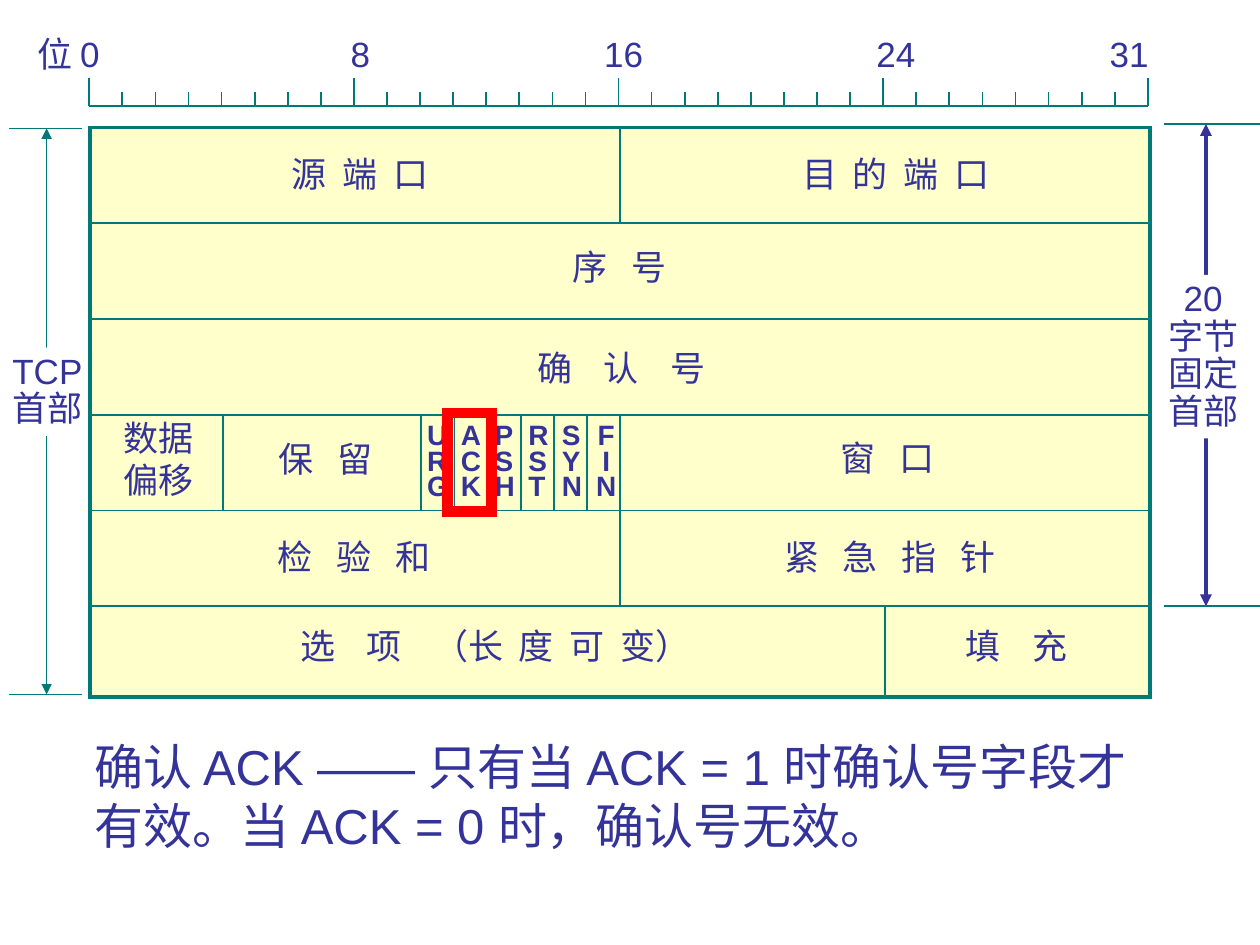
import itertools

import pptx
import pptx.dml.color
import pptx.enum.shapes
import pptx.enum.text
import pptx.oxml
import pptx.oxml.ns
import pptx.util

Cm = pptx.util.Cm
Pt = pptx.util.Pt
COLORS = {"teal": "007A77", "navy": "333399", "cream": "FFFFCC", "white": "FFFFFF", "red": "FF0000"}
ALIGN = pptx.enum.text.PP_ALIGN
SPACE_WIDTH = 4.5
BITS = 32
ROW_HEIGHT = 1.93
FLAGS = ["URG", "ACK", "PSH", "RST", "SYN", "FIN"]
FIRST_FLAG_BIT = 10
FLAG_STEP = 0.68

FIELDS = [
    ("源 端 口", 3.81, 0.38, 3.8, (2,)),
    ("目 的 端 口", 14.1, 0.38, 4.9, (2,)),
    ("序 号", 9.47, 2.26, 3.84, (3,)),
    ("确 认 号", 8.76, 4.29, 5.11, (4,)),
    ("数据\n偏移", 0.43, 5.71, 2.2, None),
    ("保 留", 3.55, 6.12, 2.9, (3,)),
    ("窗 口", 14.88, 6.1, 2.9, (3,)),
    ("检 验 和", 3.53, 8.1, 4.1, (3,)),
    ("紧 急 指 针", 13.74, 8.1, 5.5, (3,)),
    ("选 项 （长 度 可 变）", 3.98, 9.9, 8.89, (4, 4, 2, 2, 2)),
    ("填 充", 17.4, 9.9, 3.48, (4,)),
]


def rgb(name):
    return pptx.dml.color.RGBColor.from_string(COLORS[name])


def add_element(parent, tag, **attributes):
    element = pptx.oxml.parse_xml(f"<a:{tag} {pptx.oxml.ns.nsdecls('a')}/>")
    for key, value in attributes.items():
        element.set(key, str(value))
    parent.append(element)
    return element


def add_line(slide, x1, y1, x2, y2, color="teal", width=1, arrows=False):
    line = slide.shapes.add_connector(
        pptx.enum.shapes.MSO_CONNECTOR.STRAIGHT, Cm(x1), Cm(y1), Cm(x2), Cm(y2))
    line.line.color.rgb = rgb(color)
    line.line.width = Pt(width)
    if arrows:
        outline = line.line._get_or_add_ln()
        add_element(outline, "headEnd", type="triangle")
        add_element(outline, "tailEnd", type="triangle")
    add_element(line._element.spPr, "effectLst")
    return line


def add_box(slide, x, y, w, h, fill=None, line="teal", width=1):
    box = slide.shapes.add_shape(
        pptx.enum.shapes.MSO_SHAPE.RECTANGLE, Cm(x), Cm(y), Cm(w), Cm(h))
    box.shadow.inherit = False
    if fill:
        box.fill.solid()
        box.fill.fore_color.rgb = rgb(fill)
    else:
        box.fill.background()
    box.line.color.rgb = rgb(line)
    box.line.width = Pt(width)
    add_element(box.line._get_or_add_ln(), "miter", lim=800000)
    return box


def add_text(slide, text, x, y, w, h=1.09, size=20, bold=False, align=ALIGN.LEFT,
             line_spacing=None, gaps=None, wrap=False, fill=None, tabs=()):
    label = slide.shapes.add_textbox(Cm(x), Cm(y), Cm(w), Cm(h))
    if fill:
        label.fill.solid()
        label.fill.fore_color.rgb = rgb(fill)
    frame = label.text_frame
    frame.word_wrap = wrap
    frame.auto_size = pptx.enum.text.MSO_AUTO_SIZE.SHAPE_TO_FIT_TEXT
    for index, content in enumerate(text.split("\n")):
        paragraph = frame.add_paragraph() if index else frame.paragraphs[0]
        paragraph.alignment = align
        if line_spacing:
            paragraph.line_spacing = line_spacing
        if tabs:
            stops = add_element(paragraph._p.get_or_add_pPr(), "tabLst")
            for stop in tabs:
                add_element(stops, "tab", pos=Cm(stop), algn="l")
        pieces = content.replace(" ", "\n \n").split("\n") if gaps else [content]
        widths = itertools.cycle(gaps or (1,))
        for piece in pieces:
            run = paragraph.add_run()
            run.text = piece
            run.font.name = "Arial"
            run.font.size = Pt(size)
            run.font.bold = bold
            run.font.color.rgb = rgb("navy")
            if piece == " ":
                extra = (next(widths) - 1) * SPACE_WIDTH
                run._r.get_or_add_rPr().set("spc", str(int(extra * 100)))
    return label


def draw_ruler(slide, x, y, w, h):
    add_text(slide, "位 0\t8\t16\t24\t31", x - 1.3, y - 1.04, 22.96,
             tabs=(6.32, 11.43, 16.92, 21.62))
    add_line(slide, x, y + h, x + w, y + h)
    for bit in range(BITS + 1):
        tick_x = x + bit * w / BITS
        add_line(slide, tick_x, y if bit % 8 == 0 else y + h / 2, tick_x, y + h)


def draw_header(slide, x, y, w, h):
    header = add_box(slide, x, y, w, h, fill="cream", width=2)
    bit_width = w / BITS

    for row in range(1, 6):
        row_y = y + row * ROW_HEIGHT
        add_line(slide, x, row_y, x + w, row_y)

    def divide(bit, first_row, bottom):
        bit_x = x + bit * bit_width
        return add_line(slide, bit_x, y + first_row * ROW_HEIGHT, bit_x, y + bottom)

    divide(16, 0, ROW_HEIGHT).begin_connect(header, 0)
    divide(16, 3, 5 * ROW_HEIGHT)
    divide(24, 5, h)
    for bit in (4, *range(FIRST_FLAG_BIT, 16)):
        divide(bit, 3, 4 * ROW_HEIGHT)

    for text, dx, dy, field_width, gaps in FIELDS:
        add_text(slide, text, x + dx, y + dy, field_width, gaps=gaps, wrap=True,
                 h=1.93 if "\n" in text else 1.09)

    flags_y = y + 3 * ROW_HEIGHT
    for index, flag in enumerate(FLAGS):
        add_text(slide, "\n".join(flag), x + 6.54 + index * FLAG_STEP, flags_y + 0.1, 0.92, 1.78,
                 size=16, bold=True, line_spacing=0.75,
                 align=ALIGN.CENTER if flag == "FIN" else ALIGN.LEFT)

    ack_x = x + (FIRST_FLAG_BIT + FLAGS.index("ACK")) * bit_width
    add_box(slide, ack_x - 0.14, flags_y - 0.03, 0.89, 1.98, line="red", width=6)


def draw_span(slide, x, y, w, h, text, arrow_x, label_box, color="teal", width=1, align=ALIGN.LEFT):
    add_line(slide, x + arrow_x, y, x + arrow_x, y + h, color=color, width=width, arrows=True)
    for edge_y in (y, y + h):
        add_line(slide, x, edge_y, x + w, edge_y)
    dx, dy, label_width, label_height = label_box
    add_text(slide, text, x + dx, y + dy, label_width, label_height,
             line_spacing=0.9, fill="white", align=align)


def draw_explanation(slide, x, y, w, h):
    add_text(slide, "确认 ACK —— 只有当 ACK = 1 时确认号字段才有效。当 ACK = 0 时，确认号无效。",
             x, y, w, h, size=28, wrap=True)


def main():
    deck = pptx.Presentation()
    deck.slide_width = Cm(25.4)
    deck.slide_height = Cm(19.05)
    slide = deck.slides.add_slide(deck.slide_layouts[6])
    draw_span(slide, 0.18, 2.59, 1.47, 11.41, "TCP\n首部", 0.76, (-0.18, 4.42, 1.93, 1.78))
    draw_span(slide, 23.47, 2.5, 1.93, 9.72, "20\n字节\n固定\n首部", 0.84, (-0.18, 3.04, 1.93, 3.3),
              color="navy", width=2.25, align=ALIGN.CENTER)
    draw_ruler(slide, 1.8, 1.57, 21.34, 0.56)
    draw_header(slide, 1.82, 2.57, 21.36, 11.48)
    draw_explanation(slide, 1.65, 14.73, 22.05, 2.64)
    deck.save("out.pptx")


if __name__ == "__main__":
    main()
